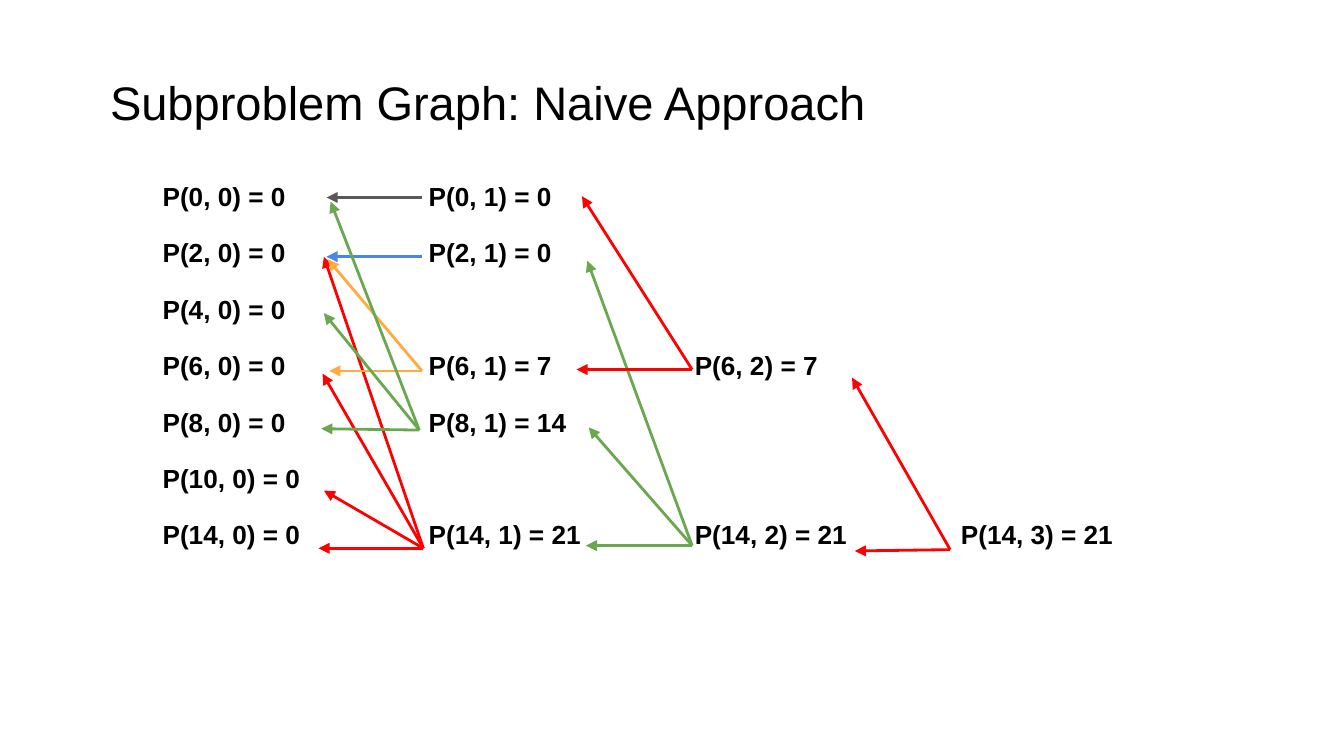
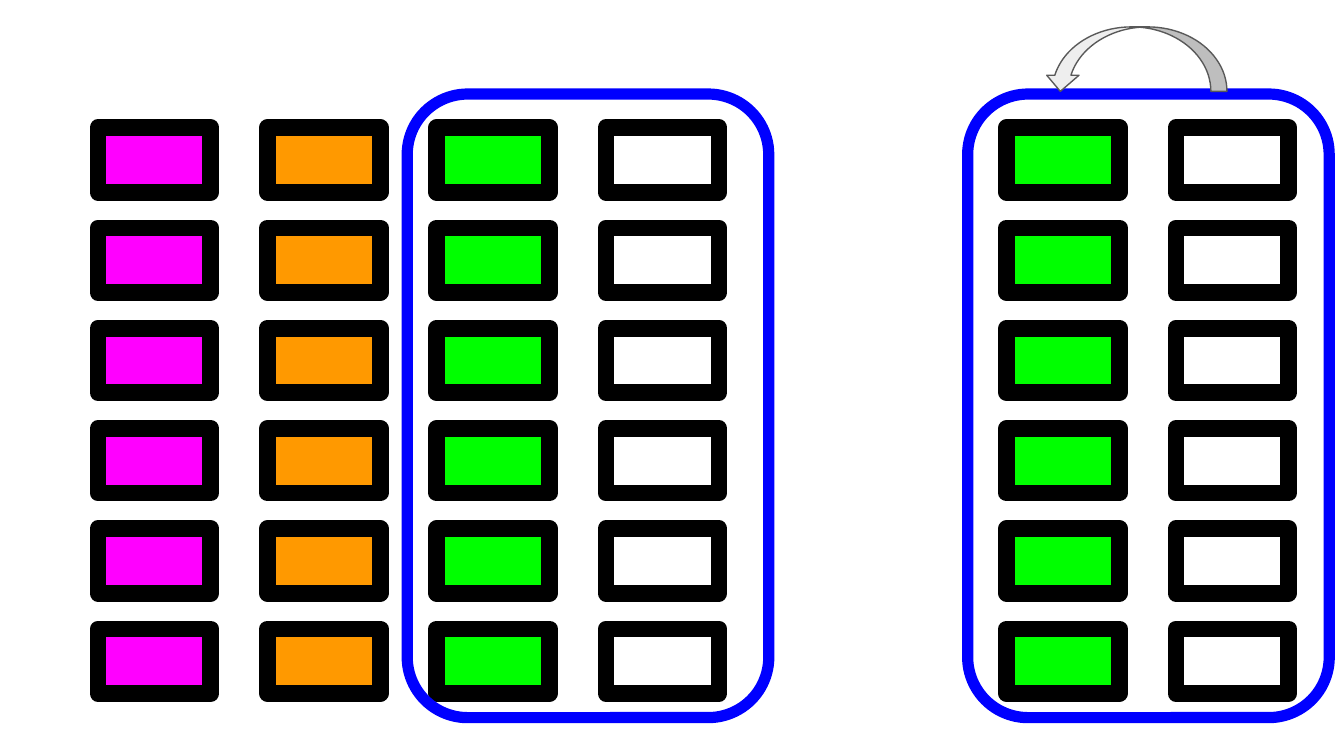
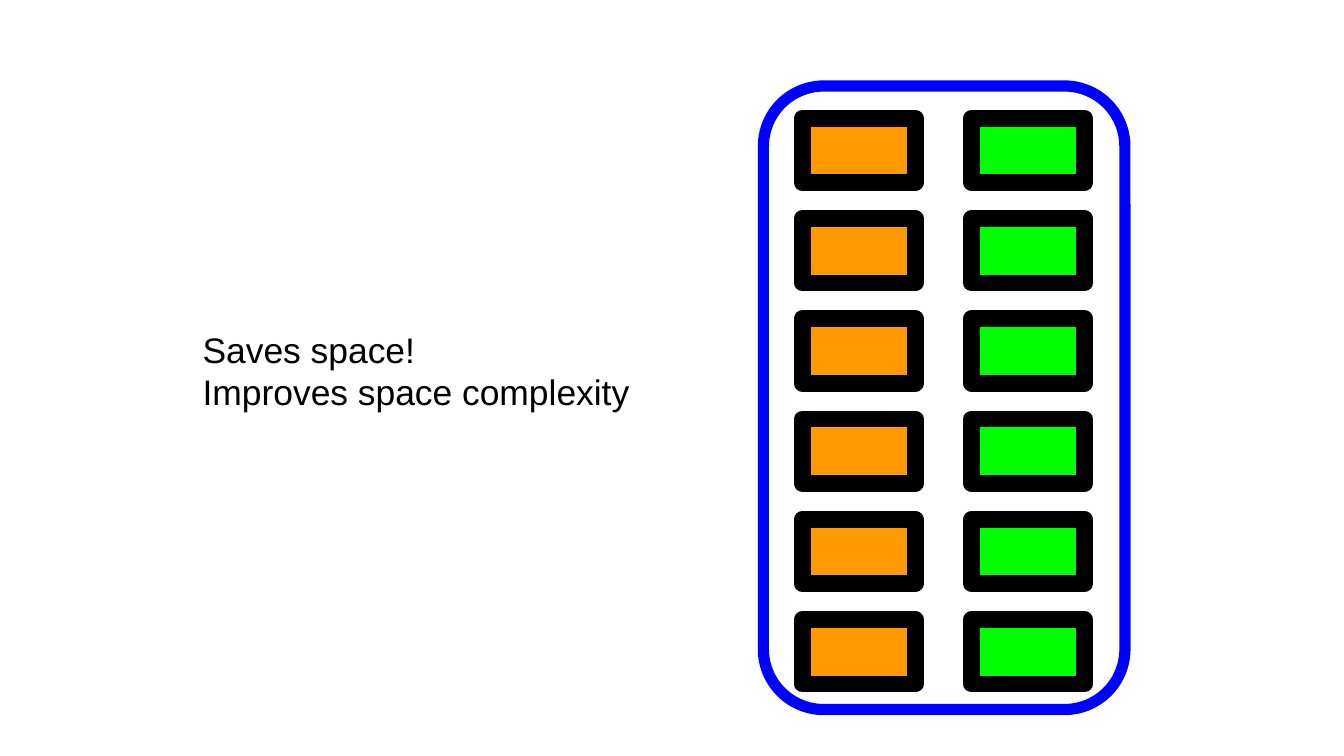
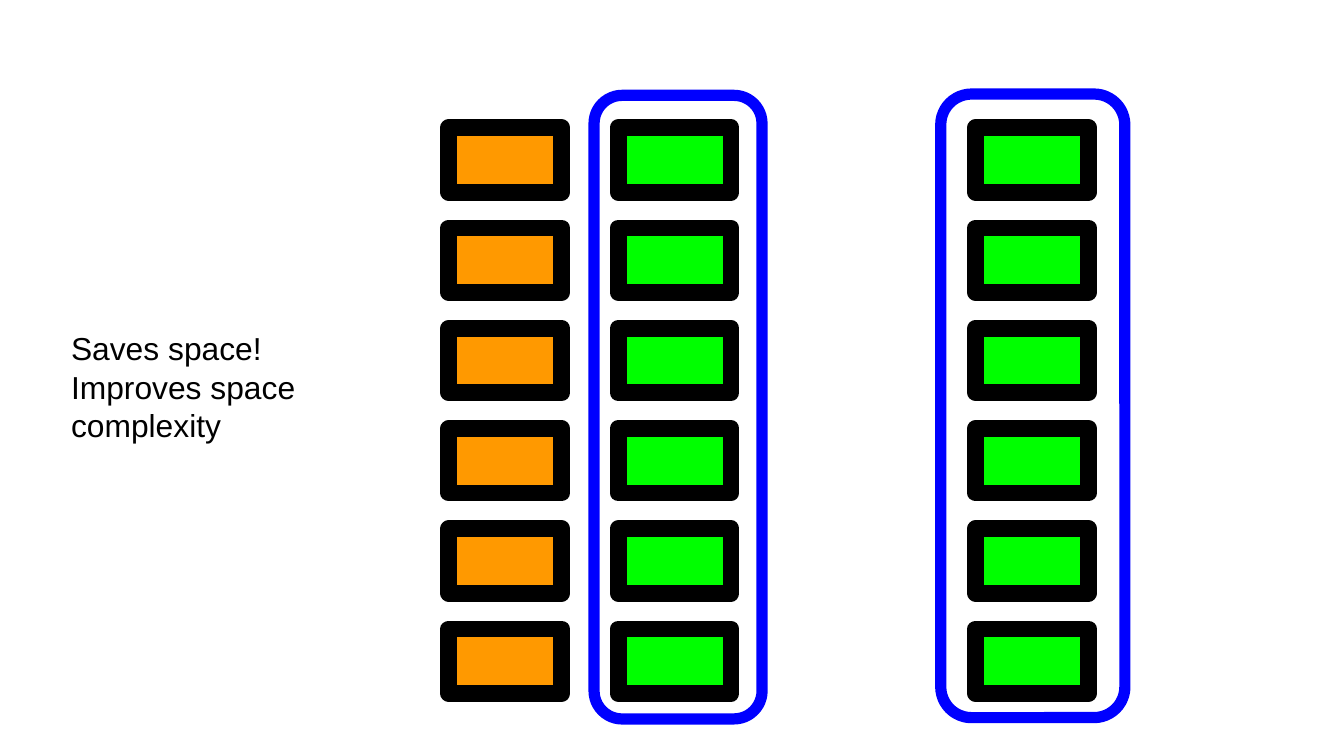
from lxml.etree import SubElement
from pptx import Presentation
from pptx.dml.color import RGBColor
from pptx.enum.shapes import MSO_CONNECTOR, MSO_SHAPE
from pptx.enum.text import MSO_ANCHOR
from pptx.oxml.ns import qn
from pptx.util import Inches, Pt

BLACK = RGBColor(0x00, 0x00, 0x00)
WHITE = RGBColor(0xFF, 0xFF, 0xFF)
RED = RGBColor(0xFF, 0x00, 0x00)
LEAF = RGBColor(0x6A, 0xA8, 0x4F)
SKY = RGBColor(0x4A, 0x86, 0xE8)
AMBER = RGBColor(0xFF, 0xAB, 0x40)
GRAY = RGBColor(0x59, 0x59, 0x59)
SILVER = RGBColor(0xEE, 0xEE, 0xEE)
LIME = RGBColor(0x00, 0xFF, 0x00)
ORANGE = RGBColor(0xFF, 0x99, 0x00)
MAGENTA = RGBColor(0xFF, 0x00, 0xFF)
BLUE = RGBColor(0x00, 0x00, 0xFF)

FONT = "Arial"
SLIDE_W = Inches(10)
SLIDE_H = SLIDE_W * 9 // 16
SIDES = ("left", "right", "top", "bottom")
INSET = 0.1
CELL_W, CELL_H = 0.84, 0.48
CELL_ROWS = 6
COL_PITCH, ROW_PITCH = 1.26, 3.73 / 5
FRAME_H = 4.64
GRAPH_COL, GRAPH_ROW = 1.98, 0.42

SUBPROBLEMS = [
    ["P(0, 0) = 0", "P(0, 1) = 0", "", ""],
    ["P(2, 0) = 0", "P(2, 1) = 0", "", ""],
    ["P(4, 0) = 0", "", "", ""],
    ["P(6, 0) = 0", "P(6, 1) = 7", "P(6, 2) = 7", ""],
    ["P(8, 0) = 0", "P(8, 1) = 14", "", ""],
    ["P(10, 0) = 0", "", "", ""],
    ["P(14, 0) = 0", "P(14, 1) = 21", "P(14, 2) = 21", "P(14, 3) = 21"],
]
DEPENDENCIES = [
    (RED, (5.96, 2.83), [(5.23, 1.55), (5.25, 2.84)]),
    (LEAF, (4.04, 2.8), [(3.25, 2.8), (3.27, 1.92), (3.26, 0.68)]),
    (RED, (2.04, 2.82), [(1.26, 2.82), (1.3, 2.39), (1.29, 1.52), (1.3, 0.65)]),
    (SKY, (2.03, 0.65), [(1.32, 0.65)]),
    (AMBER, (2.03, 1.5), [(1.34, 1.5), (1.33, 0.67)]),
    (GRAY, (2.03, 0.21), [(1.32, 0.21)]),
    (LEAF, (2.01, 1.94), [(1.28, 1.93), (1.3, 1.07), (1.35, 0.24)]),
    (RED, (4.04, 1.49), [(3.18, 1.49), (3.22, 0.2)]),
]


def assign(obj, values):
    """Set each attribute of obj named in values."""
    for name, value in values.items():
        setattr(obj, name, value)


def write(p, text, size, bold=False):
    """Add one formatted run to a paragraph."""
    r = p.add_run()
    r.text = text
    assign(r.font, {"name": FONT, "size": Pt(size), "bold": bold})
    r.font.color.rgb = BLACK


def text_box(s, box, lines, size, anchor=MSO_ANCHOR.TOP):
    """Place a wrapped text box with one paragraph per line."""
    tf = s.shapes.add_textbox(*map(Inches, box)).text_frame
    assign(tf, {"word_wrap": True, "vertical_anchor": anchor})
    assign(tf, {f"margin_{side}": Inches(INSET) for side in SIDES})
    for i, line in enumerate(lines):
        p = tf.add_paragraph() if i else tf.paragraphs[0]
        write(p, line, size)


def shape(s, kind, box, fill, line, width):
    """Place a preset shape; a fill of None leaves it hollow."""
    sp = s.shapes.add_shape(kind, *map(Inches, box))
    sp.shadow.inherit = False
    if fill is None:
        sp.fill.background()
    else:
        sp.fill.solid()
        sp.fill.fore_color.rgb = fill
    sp.line.color.rgb = line
    sp.line.width = Pt(width)
    return sp


def arrow(s, start, end, color):
    """Draw an arrow from start to end."""
    points = map(Inches, (*start, *end))
    cx = s.shapes.add_connector(MSO_CONNECTOR.STRAIGHT, *points)
    cx.line.color.rgb = color
    cx.line.width = Pt(1.5)
    spPr = cx.element.spPr
    SubElement(spPr.find(qn("a:ln")), qn("a:tailEnd"), type="triangle")
    SubElement(spPr, qn("a:effectLst"))


def fill_cell(cell, text):
    """Give a table cell its white borders, fill, margins and text."""
    tcPr = cell._tc.get_or_add_tcPr()
    for side in "LRTB":
        ln = SubElement(tcPr, qn(f"a:ln{side}"), w=str(Pt(0.75)))
        SubElement(SubElement(ln, qn("a:solidFill")), qn("a:srgbClr"), val=str(WHITE))
    cell.fill.solid()
    cell.fill.fore_color.rgb = WHITE
    margin = Inches(INSET if text else 0)
    assign(cell, {f"margin_{side}": margin for side in SIDES})
    if text:
        cell.margin_bottom = Inches(0.08)
        write(cell.text_frame.paragraphs[0], text, 14, bold=True)


def subproblem_graph(s, x, y):
    """Draw the table of subproblems and the arrows between them."""
    rows, cols = len(SUBPROBLEMS), len(SUBPROBLEMS[0])
    box = (x, y, cols * GRAPH_COL, rows * GRAPH_ROW)
    table = s.shapes.add_table(rows, cols, *map(Inches, box)).table
    assign(table, {"first_row": False, "horz_banding": False})
    for col in table.columns:
        col.width = Inches(GRAPH_COL)
    for i, texts in enumerate(SUBPROBLEMS):
        table.rows[i].height = Inches(GRAPH_ROW)
        for j, text in enumerate(texts):
            fill_cell(table.cell(i, j), text)
    for color, (x0, y0), ends in DEPENDENCIES:
        for x1, y1 in ends:
            arrow(s, (x + x0, y + y0), (x + x1, y + y1), color)


def memo_columns(s, x, y, colors):
    """Draw one column of memo cells for each colour."""
    for j, color in enumerate(colors):
        for i in range(CELL_ROWS):
            box = (x + j * COL_PITCH, y + i * ROW_PITCH, CELL_W, CELL_H)
            shape(s, MSO_SHAPE.RECTANGLE, box, color, BLACK, 9)


def frame(s, x, y, w):
    """Outline the columns kept in memory."""
    sp = shape(s, MSO_SHAPE.ROUNDED_RECTANGLE, (x, y, w, FRAME_H), None, BLUE, 6)
    sp.adjustments[0] = 0.167


def copy_arrow(s, box):
    """Draw the curved arrow that points back one column."""
    sp = shape(s, MSO_SHAPE.CURVED_DOWN_ARROW, box, SILVER, GRAY, 0.75)
    for i, value in enumerate((0.25, 0.5, 0.25)):
        sp.adjustments[i] = value
    sp.element.spPr.get_or_add_xfrm().set("flipH", "1")


def graph_slide(s):
    """Build the slide of the naive subproblem graph."""
    text_box(s, (0.72, 0.44, 9.32, 0.63), ["Subproblem Graph: Naive Approach"],
             25.2, MSO_ANCHOR.BOTTOM)
    subproblem_graph(s, 1.11, 1.26)


def memo_slide(s, grids, frames, note=None):
    """Build a slide of memo columns, frames and an optional note."""
    for x, y, colors in grids:
        memo_columns(s, x, y, colors)
    for box in frames:
        frame(s, *box)
    if note:
        box, size = note
        text_box(s, box, ["Saves space!", "Improves space complexity"], size)


def main():
    """Build the four slides and save them."""
    prs = Presentation()
    assign(prs, {"slide_width": SLIDE_W, "slide_height": SLIDE_H})
    graph, window, pair, single = (
        prs.slides.add_slide(prs.slide_layouts[6]) for _ in range(4))
    graph_slide(graph)
    memo_slide(window,
               [(0.73, 0.95, [MAGENTA, ORANGE, LIME, WHITE]),
                (7.49, 0.95, [LIME, WHITE])],
               [(3.03, 0.7, 2.69), (7.2, 0.7, 2.69)])
    copy_arrow(window, (7.77, 0.2, 1.36, 0.48))
    memo_slide(pair, [(5.97, 0.88, [ORANGE, LIME])], [(5.68, 0.64, 2.69)],
               ((1.41, 2.34, 3.5, 1.36), 19))
    memo_slide(single,
               [(3.34, 0.95, [ORANGE, LIME]), (7.26, 0.95, [LIME])],
               [(4.42, 0.71, 1.25), (7, 0.7, 1.37)],
               ((0.43, 2.35, 2.08, 1.36), 17))
    prs.save("out.pptx")


if __name__ == "__main__":
    main()
